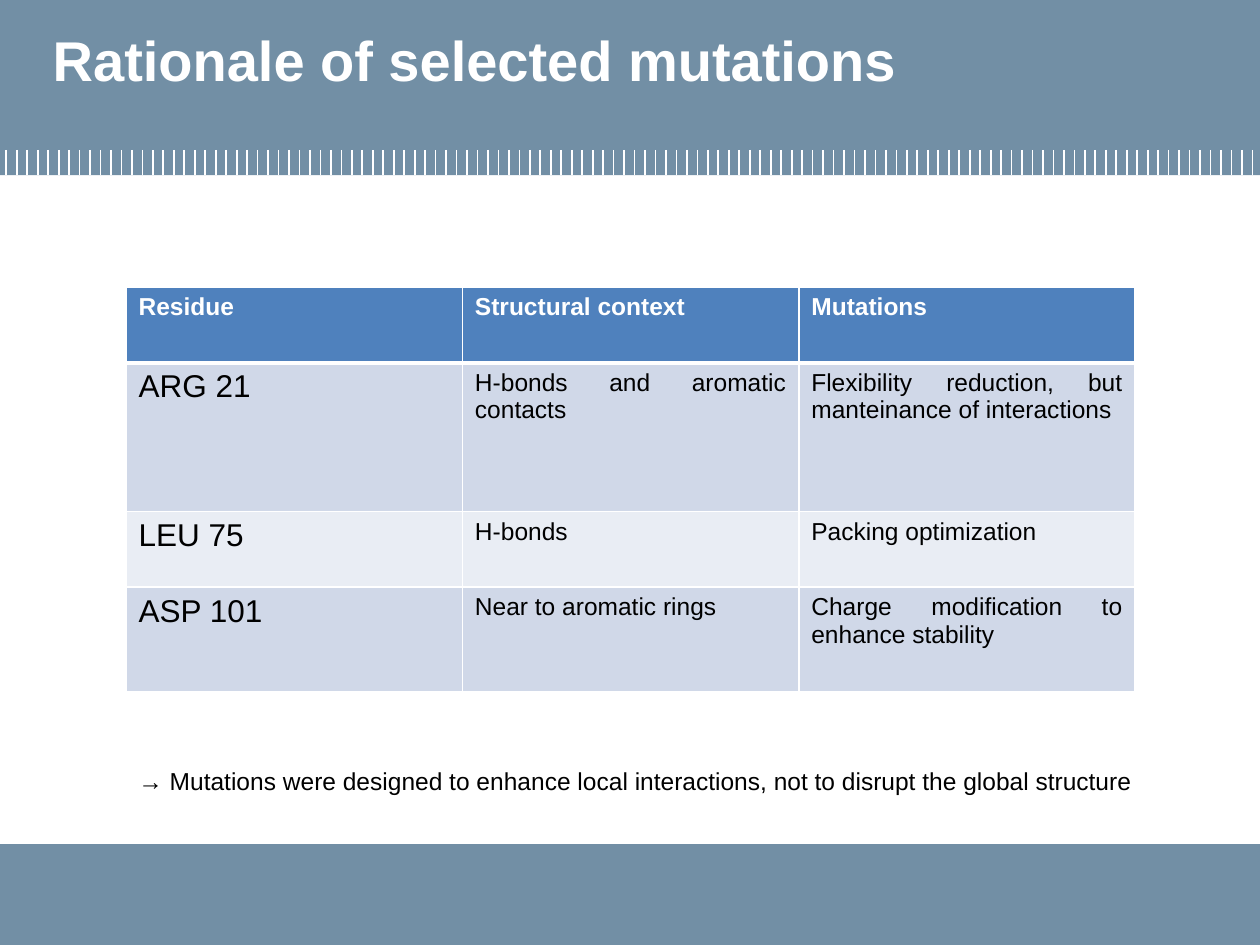
from lxml.etree import SubElement as Sub
from pptx import Presentation
from pptx.dml.color import RGBColor
from pptx.enum.shapes import MSO_CONNECTOR as Link, MSO_SHAPE as Shape
from pptx.enum.text import MSO_ANCHOR as Anchor, MSO_AUTO_SIZE as Auto, PP_ALIGN as Align
from pptx.oxml.ns import qn
from pptx.util import Inches, Pt

WHITE = RGBColor(0xFF, 0xFF, 0xFF)
BLACK = RGBColor(0x00, 0x00, 0x00)
SLATE = RGBColor(0x72, 0x8F, 0xA5)
BLUE = RGBColor(0x4F, 0x81, 0xBD)
MID = RGBColor(0xD0, 0xD8, 0xE8)
PALE = RGBColor(0xE9, 0xED, 0xF4)

TICKS = 120
FIRST, LAST = 0.05, 9.94
WIDTHS = [2.67] * 3
HEIGHTS = [0.6, 1.18, 0.6, 0.83]
ROWS = [
    ("Residue", "Structural context", "Mutations"),
    ("ARG 21", "H-bonds and aromatic contacts",
     "Flexibility reduction, but manteinance of interactions"),
    ("LEU 75", "H-bonds", "Packing optimization"),
    ("ASP 101", "Near to aromatic rings", "Charge modification to enhance stability"),
]


class Deck:
    """Draws styled elements on the current slide."""

    def __init__(self, slide, face="Arial"):
        self.shapes = slide.shapes
        self.face = face

    def style(self, para, size, color, bold=False):
        font = para.font
        font.name, font.size, font.bold = self.face, Pt(size), bold
        font.color.rgb = color

    def band(self, top, height):
        box = self.shapes.add_shape(Shape.RECTANGLE, 0, Inches(top), Inches(10), Inches(height))
        box.shadow.inherit = False
        box.fill.solid()
        box.fill.fore_color.rgb = SLATE
        box.line.fill.background()

    def tick(self, x, top, bottom):
        line = self.shapes.add_connector(
            Link.STRAIGHT, Inches(x), Inches(top), Inches(x), Inches(bottom))
        line.line.color.rgb = WHITE
        line.line.width = Pt(1)
        Sub(line._element.spPr, qn("a:effectLst"))

    def text(self, words, place, size, color, bold=False, wrap=True):
        box = self.shapes.add_textbox(*map(Inches, place))
        frame = box.text_frame
        frame.word_wrap = wrap
        frame.auto_size = Auto.NONE if wrap else Auto.SHAPE_TO_FIT_TEXT
        frame.vertical_anchor = Anchor.TOP
        para = frame.paragraphs[0]
        para.text = words
        self.style(para, size, color, bold)

    def edges(self, cell, base):
        props = cell._tc.get_or_add_tcPr()
        widths = {"lnL": 1, "lnR": 1, "lnT": 1, "lnB": base}
        for spot, (tag, width) in enumerate(widths.items()):
            line = props.makeelement(qn(f"a:{tag}"), {"w": str(Pt(width))})
            fill = Sub(line, qn("a:solidFill"))
            Sub(fill, qn("a:srgbClr"), val=str(WHITE))
            props.insert(spot, line)

    def cell(self, cell, words, row, col):
        head = row == 0
        cell.fill.solid()
        cell.fill.fore_color.rgb = BLUE if head else MID if row % 2 else PALE
        para = cell.text_frame.paragraphs[0]
        para.text = words
        if not head and col:
            para.alignment = Align.JUSTIFY
        size = 14 if head or col else 18
        self.style(para, size, WHITE if head else BLACK, head)
        self.edges(cell, 3 if head else 1)

    def table(self, rows, left, top):
        frame = self.shapes.add_table(
            len(rows), len(WIDTHS), Inches(left), Inches(top),
            Inches(sum(WIDTHS)), Inches(sum(HEIGHTS)))
        grid = frame.table
        for col, width in zip(grid.columns, WIDTHS):
            col.width = Inches(width)
        for r, (row, height) in enumerate(zip(rows, HEIGHTS)):
            grid.rows[r].height = Inches(height)
            for c, words in enumerate(row):
                self.cell(grid.cell(r, c), words, r, c)


def main():
    show = Presentation()
    show.slide_width, show.slide_height = Inches(10), Inches(7.5)
    deck = Deck(show.slides.add_slide(show.slide_layouts[6]))
    deck.band(0, 1.39)
    deck.band(6.7, 0.8)
    step = (LAST - FIRST) / (TICKS - 1)
    for i in range(TICKS):
        deck.tick(FIRST + i * step, 1.19, 1.39)
    deck.text("Rationale of selected mutations", (0.32, 0.15, 9.38, 0.92), 32, WHITE, bold=True)
    deck.table(ROWS, 1, 2.28)
    deck.text("→ Mutations were designed to enhance local interactions, "
              "not to disrupt the global structure",
              (1, 6.03, 8.17, 0.34), 14, BLACK, wrap=False)
    show.save("out.pptx")


if __name__ == "__main__":
    main()
